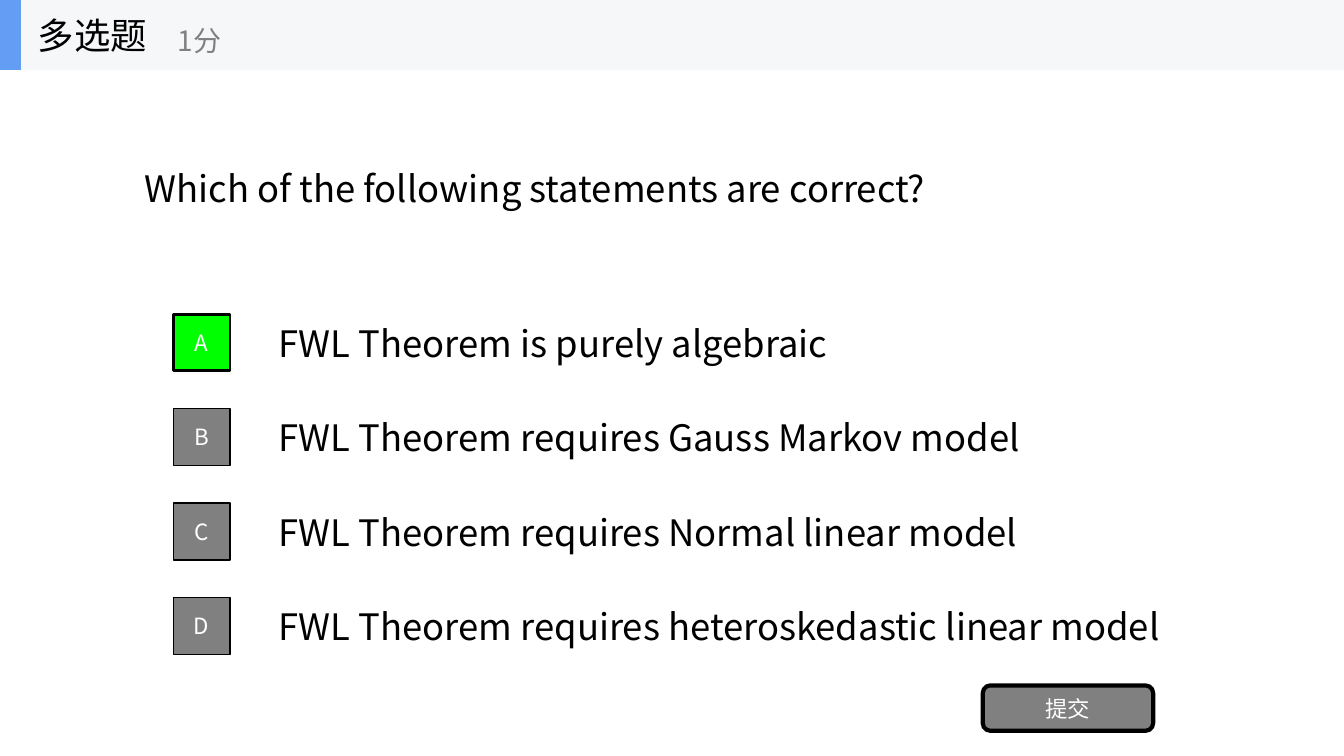
"""Build a multiple-choice quiz slide with four options and a submit button."""
from lxml.etree import SubElement
from pptx import Presentation
from pptx.dml.color import RGBColor
from pptx.enum.shapes import MSO_SHAPE
from pptx.enum.text import MSO_ANCHOR, PP_ALIGN
from pptx.oxml.ns import qn
from pptx.util import Pt

FONT = "Noto Sans CJK SC"


def write(sp, text, size, color, align=PP_ALIGN.LEFT):
    tf = sp.text_frame
    tf.word_wrap = True
    tf.vertical_anchor = MSO_ANCHOR.MIDDLE
    p = tf.paragraphs[0]
    p.text = text
    p.alignment = align
    p.font.size = Pt(size)
    p.font.name = FONT
    p.font.color.rgb = RGBColor.from_string(color)
    SubElement(p._p.pPr.find(qn("a:defRPr")), qn("a:ea"), typeface=FONT)


def block(kind, x, y, w, h, fill, line=0):
    sp = s.shapes.add_shape(kind, Pt(x), Pt(y), Pt(w), Pt(h))
    sp.shadow.inherit = False
    sp.fill.solid()
    sp.fill.fore_color.rgb = RGBColor.from_string(fill)
    if line:
        sp.line.color.rgb = RGBColor.from_string("000000")
        sp.line.width = Pt(line)
    else:
        sp.line.fill.background()
    return sp


prs = Presentation()
prs.slide_width, prs.slide_height = Pt(960), Pt(540)
s = prs.slides.add_slide(prs.slide_layouts[5])

block(MSO_SHAPE.RECTANGLE, 0, 0, 960, 50, "F6F7F8")
block(MSO_SHAPE.RECTANGLE, 0, 0, 15, 50, "639EF4")
kind = s.shapes.add_textbox(Pt(20), Pt(0), Pt(150), Pt(50))
write(kind, "多选题", 26, "000000")
score = s.shapes.add_textbox(Pt(120), Pt(9), Pt(180), Pt(40))
write(score, "1分", 20, "808080")

title = s.shapes.title
title.left, title.top, title.width, title.height = Pt(96), Pt(50), Pt(768), Pt(168.5)
write(title, "Which of the following statements are correct?", 26, "000000")

options = [
    ("A", "FWL Theorem is purely algebraic", "00FF00", 2),
    ("B", "FWL Theorem requires Gauss Markov model", "808080", 1),
    ("C", "FWL Theorem requires Normal linear model", "808080", 1),
    ("D", "FWL Theorem requires heteroskedastic linear model", "808080", 1),
]
for i, (letter, text, fill, line) in enumerate(options):
    top = 219.4 + i * 67.5
    option = s.shapes.add_textbox(Pt(192), Pt(top), Pt(672), Pt(50.5))
    write(option, text, 26, "000000")
    badge = block(MSO_SHAPE.RECTANGLE, 123.8, top + 5, 40.5, 40.5, fill, line)
    write(badge, letter, 16, "FFFFFF", PP_ALIGN.CENTER)

submit = block(MSO_SHAPE.ROUNDED_RECTANGLE, 702, 489.6, 121.7, 32.4, "808080", 3)
write(submit, "提交", 16, "FFFFFF", PP_ALIGN.CENTER)

prs.save("out.pptx")
